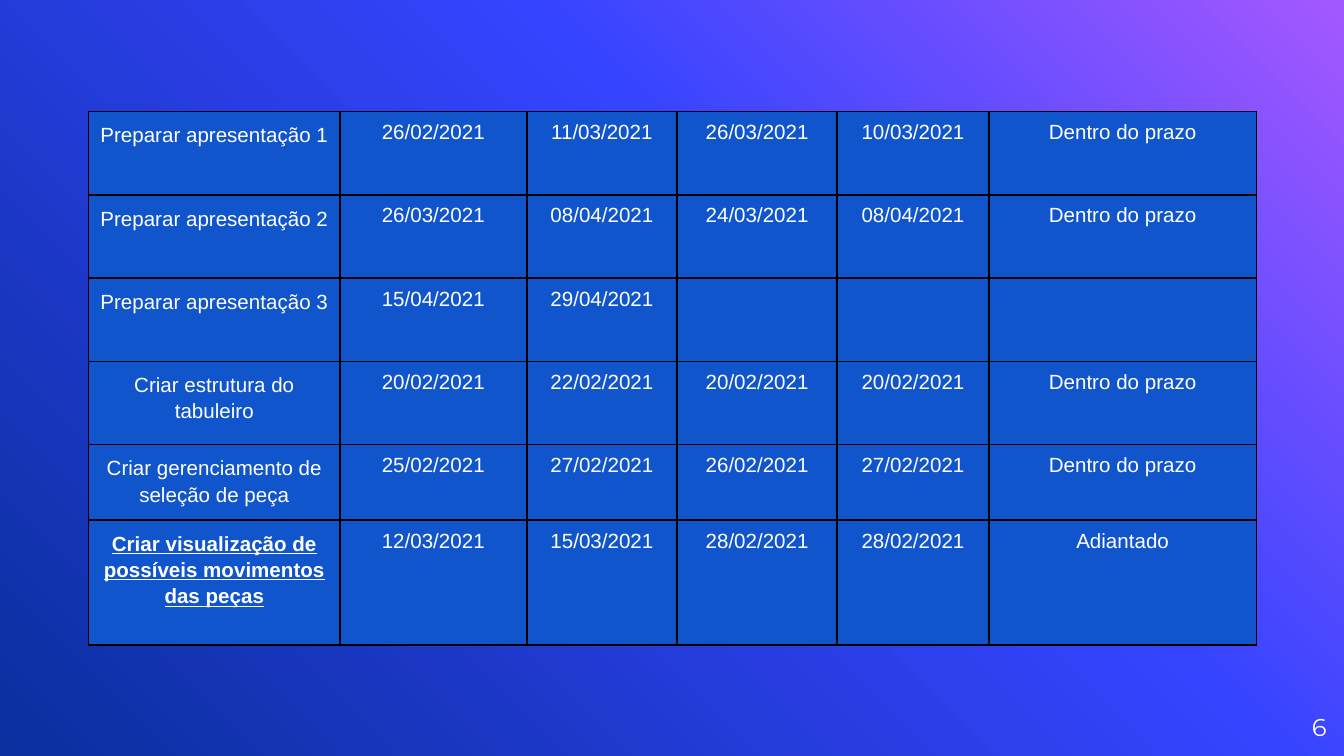
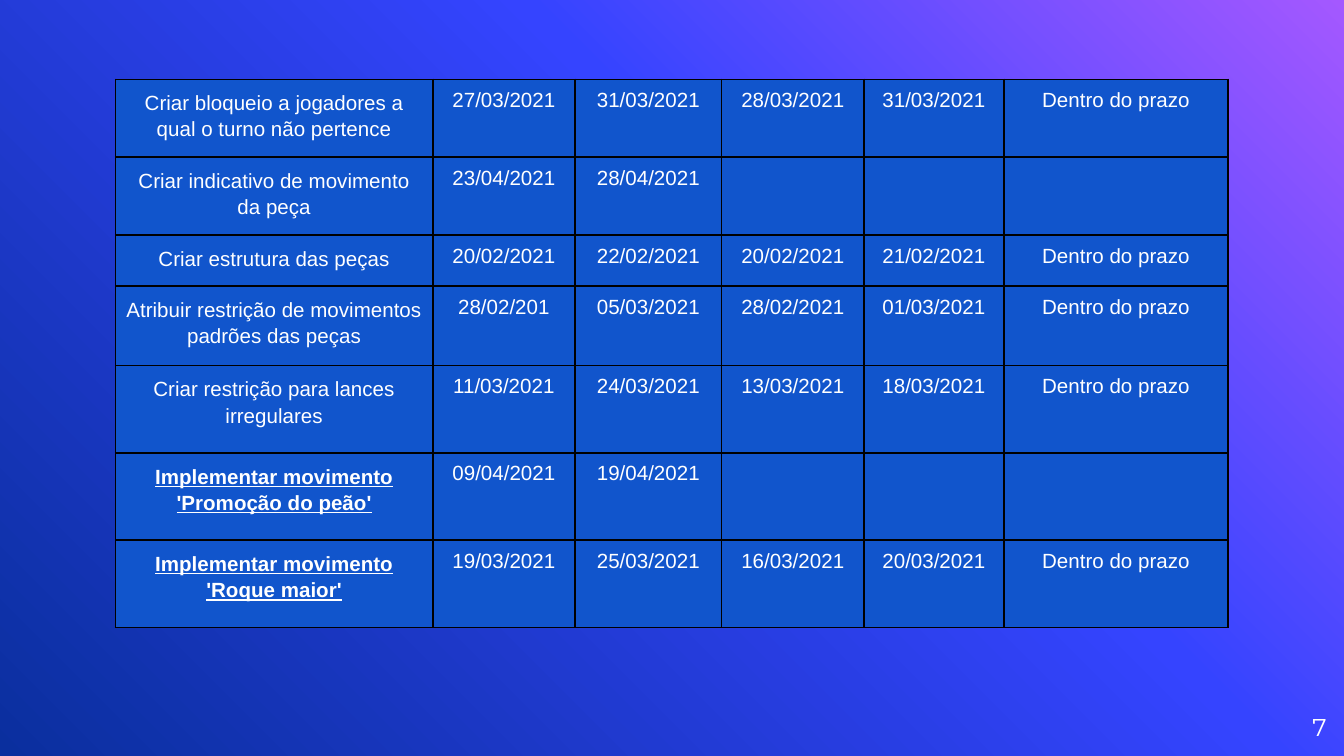
from copy import deepcopy
from dataclasses import dataclass

from lxml import etree
from pptx import Presentation
from pptx.dml.color import RGBColor
from pptx.enum.text import MSO_ANCHOR, PP_ALIGN
from pptx.oxml.ns import qn
from pptx.slide import Slide
from pptx.table import _Cell
from pptx.util import Inches, Pt

CENTER, RIGHT = PP_ALIGN.CENTER, PP_ALIGN.RIGHT
MIDDLE = MSO_ANCHOR.MIDDLE

WHITE = RGBColor(0xFF, 0xFF, 0xFF)
BLACK = RGBColor(0x00, 0x00, 0x00)
CELL_BLUE = RGBColor(0x11, 0x55, 0xCC)
PURPLE = RGBColor(0xA4, 0x58, 0xFF)
BRIGHT_BLUE = RGBColor(0x35, 0x44, 0xFF)
NAVY = RGBColor(0x0A, 0x2F, 0x9E)
BACKGROUND_STOPS = [(0, PURPLE), (0.39, BRIGHT_BLUE), (1, NAVY)]

SLIDE_WIDTH = Inches(10)
SLIDE_HEIGHT = SLIDE_WIDTH * 9 // 16
TABLE_FONT = "Arial"
NUMBER_FONT = "Montserrat"
CELL_MARGIN = Inches(0.07)
BORDER_WIDTH = Pt(1)
BORDER_SIDES = ("a:lnL", "a:lnR", "a:lnT", "a:lnB")
ON_TIME = "Dentro do prazo"
EARLY = "Adiantado"


@dataclass(frozen=True)
class Task:
    """One row: planned start and end, actual start and end, status."""
    name: str
    planned: tuple[str, str]
    actual: tuple[str, str] = ("", "")
    status: str = ""
    height: float = 0.62
    highlighted: bool = False

    def texts(self) -> tuple[str, ...]:
        return (self.name, *self.planned, *self.actual, self.status)


@dataclass(frozen=True)
class Schedule:
    page: int
    left: float
    top: float
    column_widths: tuple[float, ...]
    tasks: tuple[Task, ...]


SCHEDULES = (
    Schedule(6, 0.66, 0.83, (1.87, 1.39, 1.12, 1.19, 1.13, 1.99), (
        Task("Preparar apresentação 1", ("26/02/2021", "11/03/2021"),
             ("26/03/2021", "10/03/2021"), ON_TIME),
        Task("Preparar apresentação 2", ("26/03/2021", "08/04/2021"),
             ("24/03/2021", "08/04/2021"), ON_TIME),
        Task("Preparar apresentação 3", ("15/04/2021", "29/04/2021")),
        Task("Criar estrutura do tabuleiro", ("20/02/2021", "22/02/2021"),
             ("20/02/2021", "20/02/2021"), ON_TIME),
        Task("Criar gerenciamento de seleção de peça", ("25/02/2021", "27/02/2021"),
             ("26/02/2021", "27/02/2021"), ON_TIME, height=0.54),
        Task("Criar visualização de possíveis movimentos das peças",
             ("12/03/2021", "15/03/2021"), ("28/02/2021", "28/02/2021"), EARLY,
             height=0.93, highlighted=True),
    )),
    Schedule(7, 0.86, 0.59, (2.36, 1.06, 1.09, 1.06, 1.04, 1.67), (
        Task("Criar bloqueio a jogadores a qual o turno não pertence",
             ("27/03/2021", "31/03/2021"), ("28/03/2021", "31/03/2021"), ON_TIME,
             height=0.58),
        Task("Criar indicativo de movimento da peça", ("23/04/2021", "28/04/2021"),
             height=0.58),
        Task("Criar estrutura das peças", ("20/02/2021", "22/02/2021"),
             ("20/02/2021", "21/02/2021"), ON_TIME, height=0.38),
        Task("Atribuir restrição de movimentos padrões das peças",
             ("28/02/201", "05/03/2021"), ("28/02/2021", "01/03/2021"), ON_TIME,
             height=0.59),
        Task("Criar restrição para lances irregulares", ("11/03/2021", "24/03/2021"),
             ("13/03/2021", "18/03/2021"), ON_TIME, height=0.65),
        Task("Implementar movimento 'Promoção do peão'", ("09/04/2021", "19/04/2021"),
             height=0.65, highlighted=True),
        Task("Implementar movimento 'Roque maior'", ("19/03/2021", "25/03/2021"),
             ("16/03/2021", "20/03/2021"), ON_TIME, height=0.65, highlighted=True),
    )),
)


def paint_background(slide: Slide) -> None:
    fill = slide.background.fill
    fill.gradient()
    fill.gradient_angle = 225  # counter-clockwise: top right to bottom left
    stop_list = slide.element.find(".//" + qn("a:gsLst"))
    stop_list.append(deepcopy(stop_list[-1]))
    for stop, (position, color) in zip(fill.gradient_stops, BACKGROUND_STOPS):
        stop.position = position
        stop.color.rgb = color


def add_page_number(slide: Slide, page: int) -> None:
    frame = slide.shapes.add_textbox(
        Inches(9.27), Inches(5.19), Inches(0.6), Inches(0.43)).text_frame
    frame.margin_left = frame.margin_right = frame.margin_top = frame.margin_bottom = 0
    frame.word_wrap = True
    frame.vertical_anchor = MIDDLE
    number = frame.paragraphs[0]
    number.text = str(page)
    number.alignment = RIGHT
    number.font.name = NUMBER_FONT
    number.font.size = Pt(13)
    number.font.color.rgb = WHITE


def outline_cell(cell: _Cell) -> None:
    properties = cell._tc.get_or_add_tcPr()
    for index, side in enumerate(BORDER_SIDES):
        line = etree.Element(qn(side), w=str(BORDER_WIDTH))
        solid = etree.SubElement(line, qn("a:solidFill"))
        etree.SubElement(solid, qn("a:srgbClr"), val=str(BLACK))
        properties.insert(index, line)  # borders come before the fill


def fill_cell(cell: _Cell, text: str) -> None:
    cell.margin_left = cell.margin_right = CELL_MARGIN
    cell.margin_top = cell.margin_bottom = CELL_MARGIN
    cell.fill.solid()
    cell.fill.fore_color.rgb = CELL_BLUE
    outline_cell(cell)
    if not text:
        return
    paragraph = cell.text_frame.paragraphs[0]
    paragraph.text = text
    paragraph.alignment = CENTER
    paragraph.font.name = TABLE_FONT
    paragraph.font.size = Pt(11)
    paragraph.font.color.rgb = WHITE


def style_task_name(cell: _Cell, highlighted: bool) -> None:
    paragraph = cell.text_frame.paragraphs[0]
    paragraph.line_spacing = 1.15
    if highlighted:
        paragraph.font.bold = True
        paragraph.font.underline = True


def add_schedule(slide: Slide, schedule: Schedule) -> None:
    widths, tasks = schedule.column_widths, schedule.tasks
    table = slide.shapes.add_table(
        len(tasks), len(widths), Inches(schedule.left), Inches(schedule.top),
        Inches(sum(widths)), Inches(sum(task.height for task in tasks))).table
    table.first_row = table.horz_banding = False
    for column, width in zip(table.columns, widths):
        column.width = Inches(width)
    for row, task in zip(table.rows, tasks):
        row.height = Inches(task.height)
        for cell, text in zip(row.cells, task.texts()):
            fill_cell(cell, text)
        style_task_name(row.cells[0], task.highlighted)


def main() -> None:
    prs = Presentation()
    prs.slide_width, prs.slide_height = SLIDE_WIDTH, SLIDE_HEIGHT
    blank = prs.slide_layouts[6]
    for schedule in SCHEDULES:
        slide = prs.slides.add_slide(blank)
        paint_background(slide)
        add_page_number(slide, schedule.page)
        add_schedule(slide, schedule)
    prs.save("out.pptx")


if __name__ == "__main__":
    main()
